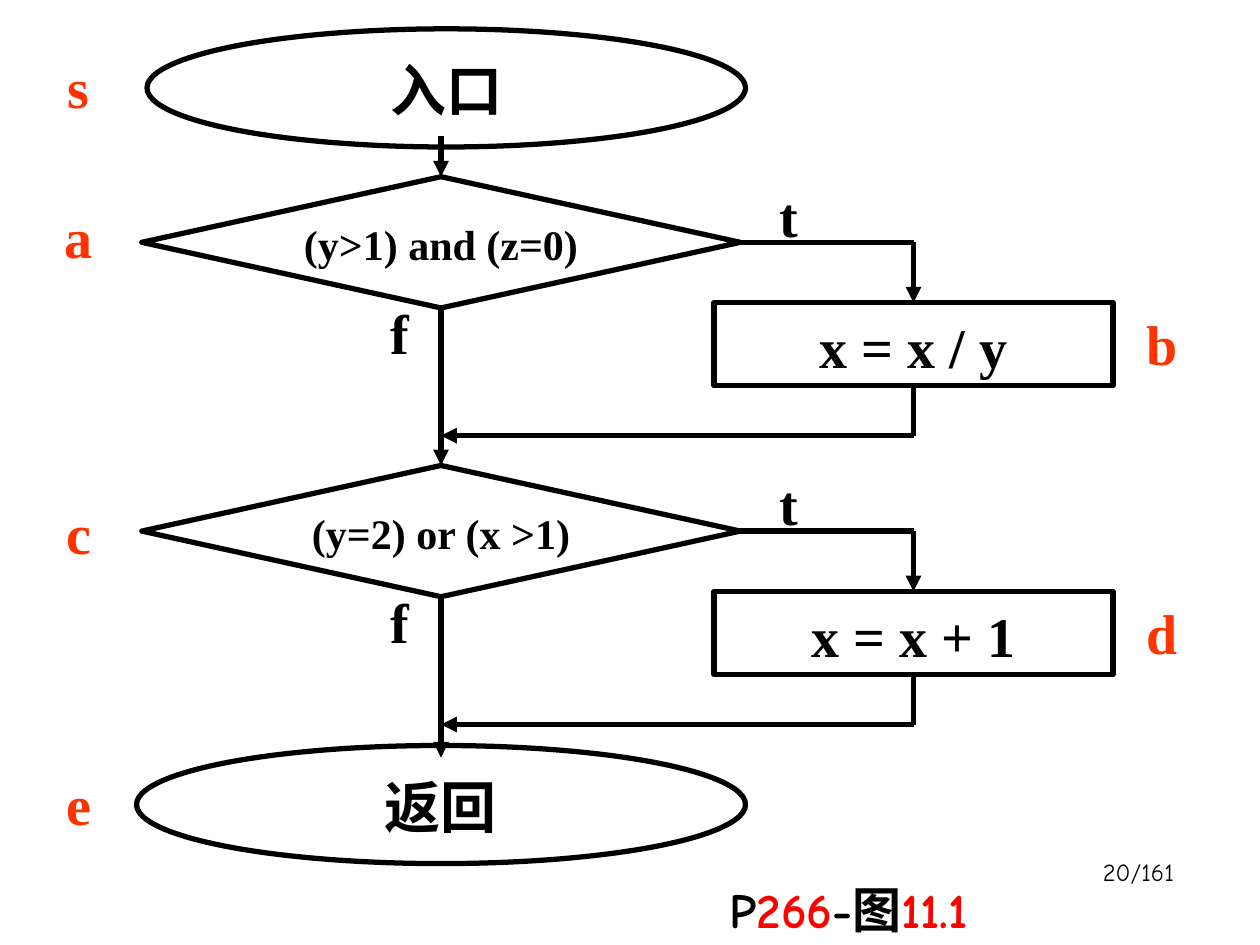
from dataclasses import dataclass
from typing import Optional

from lxml import etree
from pptx import Presentation
from pptx.dml.color import RGBColor
from pptx.enum.shapes import MSO_CONNECTOR, MSO_SHAPE
from pptx.enum.text import MSO_ANCHOR, PP_ALIGN
from pptx.oxml.ns import qn
from pptx.shapes.autoshape import Shape
from pptx.slide import Slide
from pptx.util import Pt

OVAL = MSO_SHAPE.OVAL
DECISION = MSO_SHAPE.FLOWCHART_DECISION
RECTANGLE = MSO_SHAPE.RECTANGLE
STRAIGHT = MSO_CONNECTOR.STRAIGHT
TOP, MIDDLE = MSO_ANCHOR.TOP, MSO_ANCHOR.MIDDLE
LEFT, CENTER, RIGHT = PP_ALIGN.LEFT, PP_ALIGN.CENTER, PP_ALIGN.RIGHT
SITE_TOP, SITE_BOTTOM, SITE_RIGHT = 0, 2, 3


@dataclass(frozen=True)
class Theme:
    ink: RGBColor = RGBColor(0, 0, 0)
    node_label: RGBColor = RGBColor(0xFF, 0x33, 0)
    caption_accent: RGBColor = RGBColor(0xFF, 0, 0)
    flow_font: str = "Times New Roman"
    caption_font: str = "Comic Neue"
    large: float = 32
    caption: float = 28
    condition: float = 24
    page_number: float = 14
    line_width: float = 3
    line_spacing: float = 1.05


THEME = Theme()


@dataclass(frozen=True)
class Box:
    left: float
    top: float
    width: float
    height: float


@dataclass(frozen=True)
class Label:
    text: str
    left: float
    top: float
    width: float = 29.5
    color: RGBColor = THEME.node_label


@dataclass(frozen=True)
class Stage:
    condition: str
    action: str
    top: float
    exit_y: float
    joins_next: bool


@dataclass(frozen=True)
class Joint:
    shape: Shape
    site: int


# Layout of the flow chart
SPINE_X = 252
BRANCH_X = 522
DECISION_WIDTH, DECISION_HEIGHT = 342, 75
ACTION_WIDTH, ACTION_HEIGHT = 228, 47.5
LABEL_HEIGHT = 47.5
FIRST_STAGE_TOP, STAGE_STEP = 101, 165

STAGES = [
    Stage("(y>1) and (z=0)", "x = x / y", FIRST_STAGE_TOP,
          FIRST_STAGE_TOP + STAGE_STEP, True),
    Stage("(y=2) or (x >1)", "x = x + 1", FIRST_STAGE_TOP + STAGE_STEP, 433, False),
]
NODE_LABELS = [
    Label("s", 30, 24.5), Label("a", 30, 110), Label("c", 30.5, 279.5),
    Label("e", 30.5, 434), Label("b", 648, 171.5), Label("d", 648, 336.5),
]


def add_run(paragraph, text: str, size: float, color: RGBColor,
            font_name: str = THEME.flow_font, bold: bool = True) -> None:
    run = paragraph.add_run()
    run.text = text
    run.font.name = font_name
    run.font.size = Pt(size)
    run.font.bold = bold
    run.font.color.rgb = color


def prepare_paragraph(shape: Shape, alignment, anchor, wrap: bool):
    frame = shape.text_frame
    frame.word_wrap = wrap
    frame.vertical_anchor = anchor
    paragraph = frame.paragraphs[0]
    paragraph.alignment = alignment
    return paragraph


def add_text_box(slide: Slide, box: Box) -> Shape:
    return slide.shapes.add_textbox(
        Pt(box.left), Pt(box.top), Pt(box.width), Pt(box.height))


def add_flow_text(shape: Shape, text: str, size: float, color: RGBColor) -> None:
    paragraph = prepare_paragraph(shape, CENTER, MIDDLE, False)
    paragraph.line_spacing = THEME.line_spacing
    add_run(paragraph, text, size, color)


def add_node(slide: Slide, kind, box: Box, text: str,
             size: float = THEME.large) -> Shape:
    shape = slide.shapes.add_shape(
        kind, Pt(box.left), Pt(box.top), Pt(box.width), Pt(box.height))
    shape.shadow.inherit = False
    shape.fill.background()
    shape.line.color.rgb = THEME.ink
    shape.line.width = Pt(THEME.line_width)
    add_flow_text(shape, text, size, THEME.ink)
    return shape


def add_label(slide: Slide, label: Label) -> None:
    box = Box(label.left, label.top, label.width, LABEL_HEIGHT)
    add_flow_text(add_text_box(slide, box), label.text, THEME.large, label.color)


def add_line(slide: Slide, start: tuple[float, float], end: tuple[float, float],
             arrow: bool = False, begin_joint: Optional[Joint] = None,
             end_joint: Optional[Joint] = None) -> None:
    connector = slide.shapes.add_connector(
        STRAIGHT, Pt(start[0]), Pt(start[1]), Pt(end[0]), Pt(end[1]))
    connector.line.color.rgb = THEME.ink
    connector.line.width = Pt(THEME.line_width)
    if begin_joint:
        connector.begin_connect(begin_joint.shape, begin_joint.site)
    if end_joint:
        connector.end_connect(end_joint.shape, end_joint.site)
    properties = connector._element.spPr
    if arrow:
        outline = properties.find(qn("a:ln"))
        etree.SubElement(outline, qn("a:tailEnd"), type="triangle")
    etree.SubElement(properties, qn("a:effectLst"))


def add_stage(slide: Slide, stage: Stage) -> Shape:
    decision = add_node(
        slide, DECISION,
        Box(SPINE_X - DECISION_WIDTH / 2, stage.top, DECISION_WIDTH, DECISION_HEIGHT),
        stage.condition, THEME.condition)
    action_top = stage.top + 72
    action = add_node(
        slide, RECTANGLE,
        Box(BRANCH_X - ACTION_WIDTH / 2, action_top, ACTION_WIDTH, ACTION_HEIGHT),
        stage.action)

    # True branch: out to the action and back to the spine
    branch_y = stage.top + DECISION_HEIGHT / 2
    merge_y = stage.top + 148
    corner, return_corner = (BRANCH_X, branch_y), (BRANCH_X, merge_y)
    add_line(slide, (SPINE_X + DECISION_WIDTH / 2, branch_y), corner,
             begin_joint=Joint(decision, SITE_RIGHT))
    add_line(slide, corner, (BRANCH_X, action_top), True,
             end_joint=Joint(action, SITE_TOP))
    add_line(slide, (BRANCH_X, action_top + ACTION_HEIGHT), return_corner,
             begin_joint=Joint(action, SITE_BOTTOM))
    add_line(slide, return_corner, (SPINE_X, merge_y), True)

    add_label(slide, Label("f", 216, stage.top + 64, 23, THEME.ink))
    add_label(slide, Label("t", 438.5, stage.top - 3, 23, THEME.ink))
    return decision


def main() -> None:
    presentation = Presentation()
    presentation.slide_width, presentation.slide_height = Pt(720), Pt(540)
    slide = presentation.slides.add_slide(presentation.slide_layouts[6])

    # Entry, exit and the two decision stages
    add_node(slide, OVAL, Box(84, 16.5, 342, 67.5), "入口")
    add_node(slide, OVAL, Box(78, 426, 348, 67.5), "返回")
    decisions = [add_stage(slide, stage) for stage in STAGES]

    # Spine from entry to exit
    add_line(slide, (SPINE_X, 78), (SPINE_X, FIRST_STAGE_TOP), True,
             end_joint=Joint(decisions[0], SITE_TOP))
    for index, stage in enumerate(STAGES):
        target = Joint(decisions[index + 1], SITE_TOP) if stage.joins_next else None
        add_line(slide, (SPINE_X, stage.top + DECISION_HEIGHT),
                 (SPINE_X, stage.exit_y), True,
                 Joint(decisions[index], SITE_BOTTOM), target)

    for label in NODE_LABELS:
        add_label(slide, label)

    # Page number and caption
    page = add_text_box(slide, Box(528, 486, 150, 36))
    add_run(prepare_paragraph(page, RIGHT, TOP, True), "20/161",
            THEME.page_number, THEME.ink, THEME.caption_font, False)
    caption = add_text_box(slide, Box(410, 499, 190, 41))
    paragraph = prepare_paragraph(caption, LEFT, TOP, True)
    for text, color in (("P", THEME.ink), ("266", THEME.caption_accent),
                        ("-图", THEME.ink), ("11.1", THEME.caption_accent)):
        add_run(paragraph, text, THEME.caption, color, THEME.caption_font)

    presentation.save("out.pptx")


if __name__ == "__main__":
    main()
